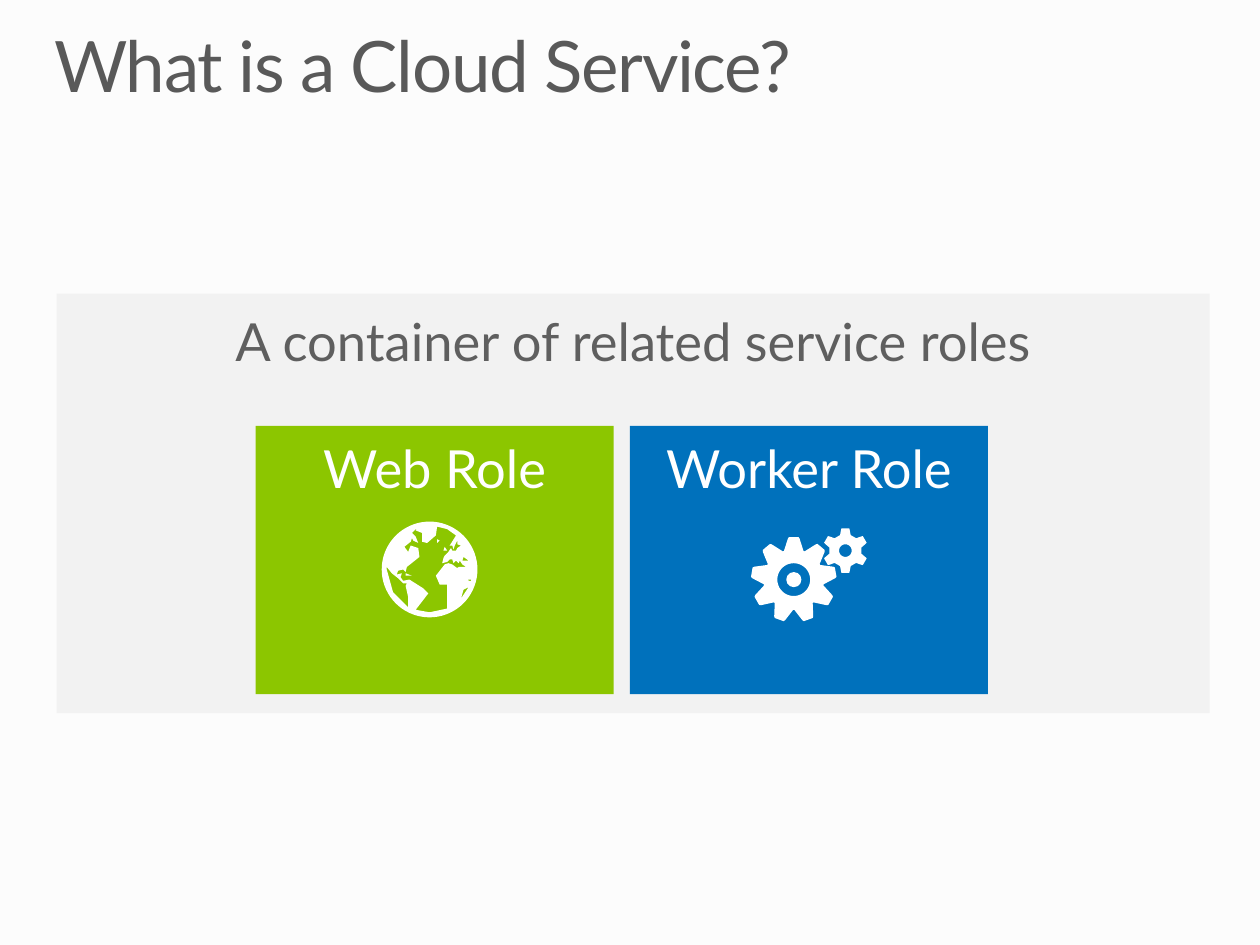
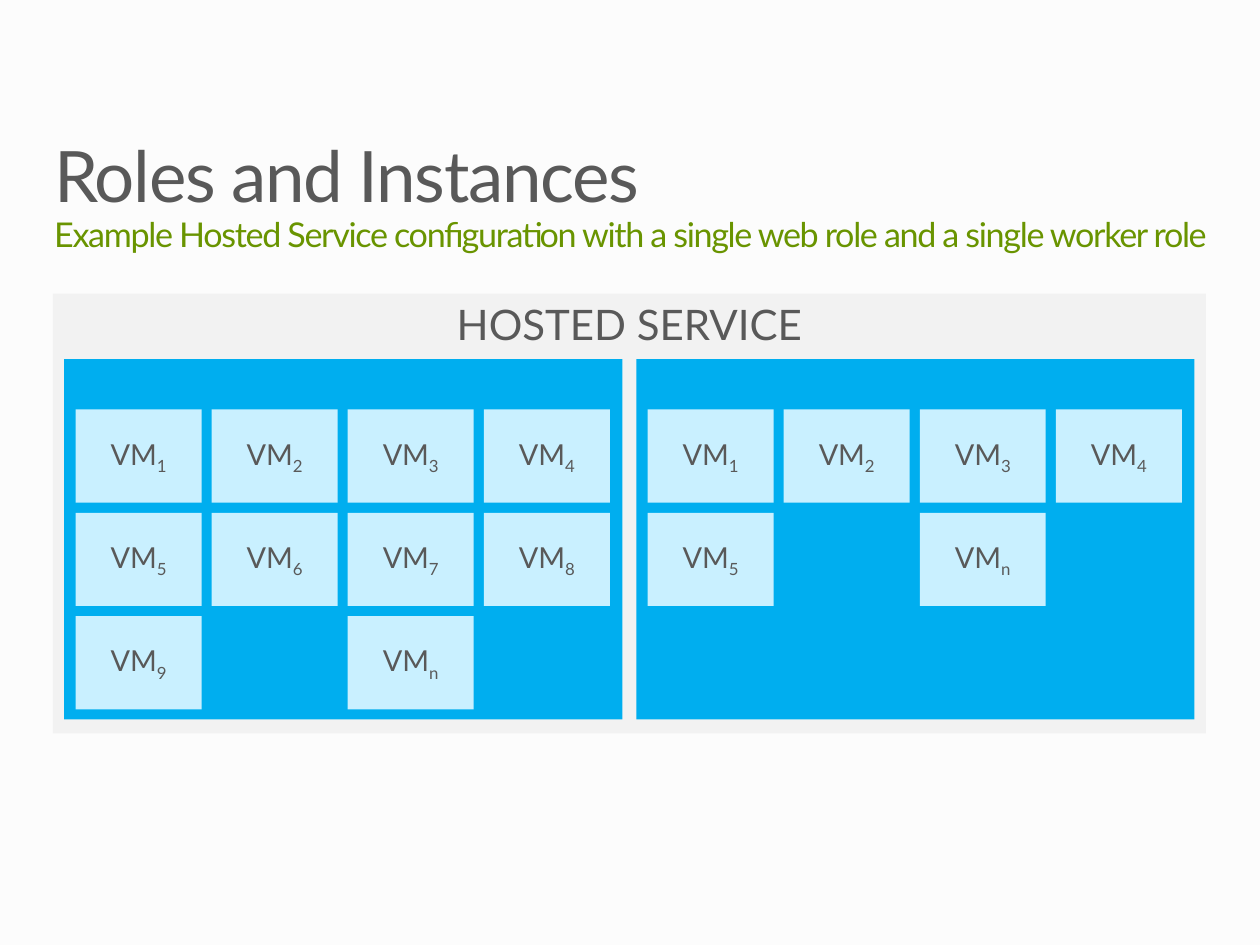
import math

import pptx
import pptx.dml.color
import pptx.enum.shapes
import pptx.enum.text
import pptx.util

Inches = pptx.util.Inches
ALIGN = pptx.enum.text.PP_ALIGN
ANCHOR = pptx.enum.text.MSO_ANCHOR
SHAPE = pptx.enum.shapes.MSO_SHAPE

FONT = "Lato"
BACKGROUND = "FCFCFC"
PANEL = "F2F2F2"
DARK = "595959"
WHITE = "FFFFFF"
TITLE_LEFT, CONTENT_WIDTH = 0.43, 9.15

# Land areas of the globe, in hundredths of an inch from its top left corner
GLOBE_RADIUS = 0.38
LANDS = [
    [(52, 69), (52, 50), (50, 50), (46, 50), (43, 43), (50, 34), (53, 33),
     (56, 34), (60, 37), (61, 36), (67, 36), (64, 34), (62, 31), (61, 33),
     (57, 29), (59, 31), (57, 33), (56, 30), (54, 30), (52, 32), (48, 33),
     (49, 29), (50, 27), (53, 24), (55, 21), (56, 23), (59, 23), (60, 21),
     (63, 19), (60, 18), (60, 15), (58, 19), (57, 22), (56, 19), (54, 19),
     (59, 11), (52, 6), (44, 4), (43, 11), (36, 17), (32, 16), (32, 9),
     (27, 7), (28, 5), (27, 6), (24, 9), (27, 12), (29, 17), (25, 15),
     (24, 13), (23, 16), (18, 20), (21, 24), (23, 19), (29, 21), (30, 28),
     (20, 36), (19, 40), (17, 38), (13, 39), (12, 42), (16, 41), (15, 44),
     (17, 47), (22, 46), (33, 53), (37, 57), (27, 70), (38, 72)],
    [(71, 46), (69, 46), (66, 38), (69, 47), (71, 47)],
    [(69, 52), (65, 54), (63, 61)],
    [(21, 68), (21, 60), (19, 51), (20, 49), (17, 49), (13, 45), (8, 41),
     (4, 36), (4, 38), (9, 56)],
    [(44, 17), (46, 15), (44, 14)],
    [(50, 20), (52, 23), (49, 23)],
    [(64, 31), (65, 28), (69, 31)],
    [(19, 41), (24, 43), (19, 43)],
]


def rgb(value):
    return pptx.dml.color.RGBColor.from_string(value)


def paint(shape, color):
    """Give a shape a plain fill without line or shadow."""
    shape.shadow.inherit = False
    shape.fill.solid()
    shape.fill.fore_color.rgb = rgb(color)
    shape.line.fill.background()


def add_block(shapes, left, top, width, height, color, kind=SHAPE.RECTANGLE):
    block = shapes.add_shape(kind, Inches(left), Inches(top), Inches(width), Inches(height))
    paint(block, color)
    return block


def set_frame(frame, anchor=ANCHOR.TOP, inset_x=0, inset_y=0):
    settings = {
        "word_wrap": True,
        "vertical_anchor": anchor,
        "margin_left": Inches(inset_x),
        "margin_right": Inches(inset_x),
        "margin_top": Inches(inset_y),
        "margin_bottom": Inches(inset_y),
    }
    for name, value in settings.items():
        setattr(frame, name, value)
    return frame.paragraphs[0]


def add_run(paragraph, text, size, color, **attributes):
    """Add formatted text; attributes go on the run properties."""
    run = paragraph.add_run()
    run.text = text
    for name, value in {"name": FONT, "size": pptx.util.Pt(size)}.items():
        setattr(run.font, name, value)
    run.font.color.rgb = rgb(color)
    for name, value in attributes.items():
        run.font._element.set(name, value)


def add_text(slide, left, top, width, height):
    box = slide.shapes.add_textbox(Inches(left), Inches(top), Inches(width), Inches(height))
    paragraph = set_frame(box.text_frame)
    box.text_frame.auto_size = pptx.enum.text.MSO_AUTO_SIZE.SHAPE_TO_FIT_TEXT
    return paragraph


def add_label(slide, left, top, width, height, text, color, line_spacing=1.0):
    label = add_text(slide, left, top, width, height)
    label.alignment = ALIGN.CENTER
    label.line_spacing = line_spacing
    add_run(label, text, 30, color)


def add_title(slide, top, height, title, subtitle=None):
    heading = add_text(slide, TITLE_LEFT, top, CONTENT_WIDTH, height)
    heading.line_spacing = 0.9
    add_run(heading, title, 40.5, DARK, spc="-80")
    if subtitle:
        heading.add_line_break()
        add_run(heading, subtitle, 19.5, "699400", spc="-80")


def add_outline(shapes, left, top, contours, color):
    """Draw closed contours, given in inches from left and top, as one shape."""
    builder = None
    for contour in contours:
        start, *rest = [(Inches(left + x), Inches(top + y)) for x, y in contour]
        if builder is None:
            builder = shapes.build_freeform(*start, scale=1.0)
        else:
            builder.move_to(*start)
        builder.add_line_segments(rest, close=True)
    paint(builder.convert_to_shape(), color)


def polar(radius, angle):
    """Point at an angle clockwise from the top."""
    return radius * math.sin(angle), -radius * math.cos(angle)


def circle(radius, center=0, steps=72):
    points = [polar(radius, math.tau * step / steps) for step in range(steps)]
    return [(center + x, center + y) for x, y in points]


def add_globe(shapes, left, top):
    lands = [[(x / 100, y / 100) for x, y in land] for land in LANDS]
    add_outline(shapes, left, top, [circle(GLOBE_RADIUS, GLOBE_RADIUS), *lands], WHITE)


def add_gear(shapes, center_x, center_y, teeth, tip, root, hole, tip_angle):
    """Tip, root and hole are radii; tip_angle is half a tooth's tip."""
    profile = [(root, -0.33), (tip - 0.01, -tip_angle), (tip, -tip_angle + 0.03),
               (tip, tip_angle - 0.03), (tip - 0.01, tip_angle), (root, 0.33)]
    rim = [polar(radius, math.tau * tooth / teeth + angle)
           for tooth in range(teeth) for radius, angle in profile]
    add_outline(shapes, center_x, center_y, [rim, circle(hole)], WHITE)


def add_gears(shapes, left, top):
    gears = shapes.add_group_shape().shapes
    center_x, center_y, hub = left + 0.33, top + 0.41, 0.12
    add_gear(gears, center_x, center_y, 9, 0.34, 0.24, 0.13, 0.14)
    add_block(gears, center_x - hub / 2, center_y - hub / 2, hub, hub, WHITE, SHAPE.OVAL)
    add_gear(gears, left + 0.74, top + 0.18, 6, 0.18, 0.13, 0.05, 0.2)


def add_role_tile(slide, left, top, name, color, add_icon, icon_left, icon_top):
    width, height = 2.84, 2.13
    add_block(slide.shapes, left, top, width, height, color)
    add_label(slide, left, top + 0.14, width, 0.45, name, WHITE, 0.9)
    add_icon(slide.shapes, left + icon_left, top + icon_top)


def build_cloud_service(slide):
    left, top = 0.45, 2.33
    add_title(slide, 0.25, 0.61, "What is a Cloud Service?")
    add_block(slide.shapes, left, top, CONTENT_WIDTH, 3.33, PANEL)
    add_label(slide, left, top + 0.12, CONTENT_WIDTH, 0.51,
              "A container of related service roles", "5F5F5F")
    tile_top = top + 1.05
    add_role_tile(slide, 2.03, tile_top, "Web Role", "8CC600", add_globe, 1.0, 0.76)
    add_role_tile(slide, 5.0, tile_top, "Worker Role", "0071BC", add_gears, 0.97, 0.81)


def add_centered(block, anchor):
    paragraph = set_frame(block.text_frame, anchor, 0.08, 0.04)
    paragraph.alignment = ALIGN.CENTER
    return paragraph


def add_instances(slide, left, top, count):
    """Panel of numbered machines, then a gap and machine n."""
    columns, width, height, gap = 4, 1.0, 0.74, 0.08
    add_block(slide.shapes, left, top, 4.43, 2.86, "00AEEF")
    machines = {slot: str(slot + 1) for slot in range(count)}
    machines[count + 1] = "n"
    for slot, number in machines.items():
        row, column = divmod(slot, columns)
        machine = add_block(slide.shapes, left + 0.09 + column * (width + gap),
                            top + 0.4 + row * (height + gap), width, height, "C9F0FF")
        caption = add_centered(machine, ANCHOR.MIDDLE)
        add_run(caption, "VM", 16.5, DARK)
        add_run(caption, number, 16.5, DARK, baseline="-25000")


def build_roles_and_instances(slide):
    left, top = 0.42, 2.33
    add_title(slide, 1.12, 0.91, "Roles and Instances",
              "Example Hosted Service configuration with a single web role "
              "and a single worker role")
    service = add_block(slide.shapes, left, top, CONTENT_WIDTH, 3.49, PANEL)
    add_run(add_centered(service, ANCHOR.TOP), "HOSTED SERVICE", 24, DARK)
    for offset, count in ((0.09, 9), (4.63, 5)):
        add_instances(slide, left + offset, top + 0.52, count)


def main():
    deck = pptx.Presentation()
    deck.slide_width, deck.slide_height = Inches(10), Inches(7.5)
    for build in (build_cloud_service, build_roles_and_instances):
        slide = deck.slides.add_slide(deck.slide_layouts[6])
        slide.background.fill.solid()
        slide.background.fill.fore_color.rgb = rgb(BACKGROUND)
        build(slide)
    deck.save("out.pptx")


if __name__ == "__main__":
    main()
